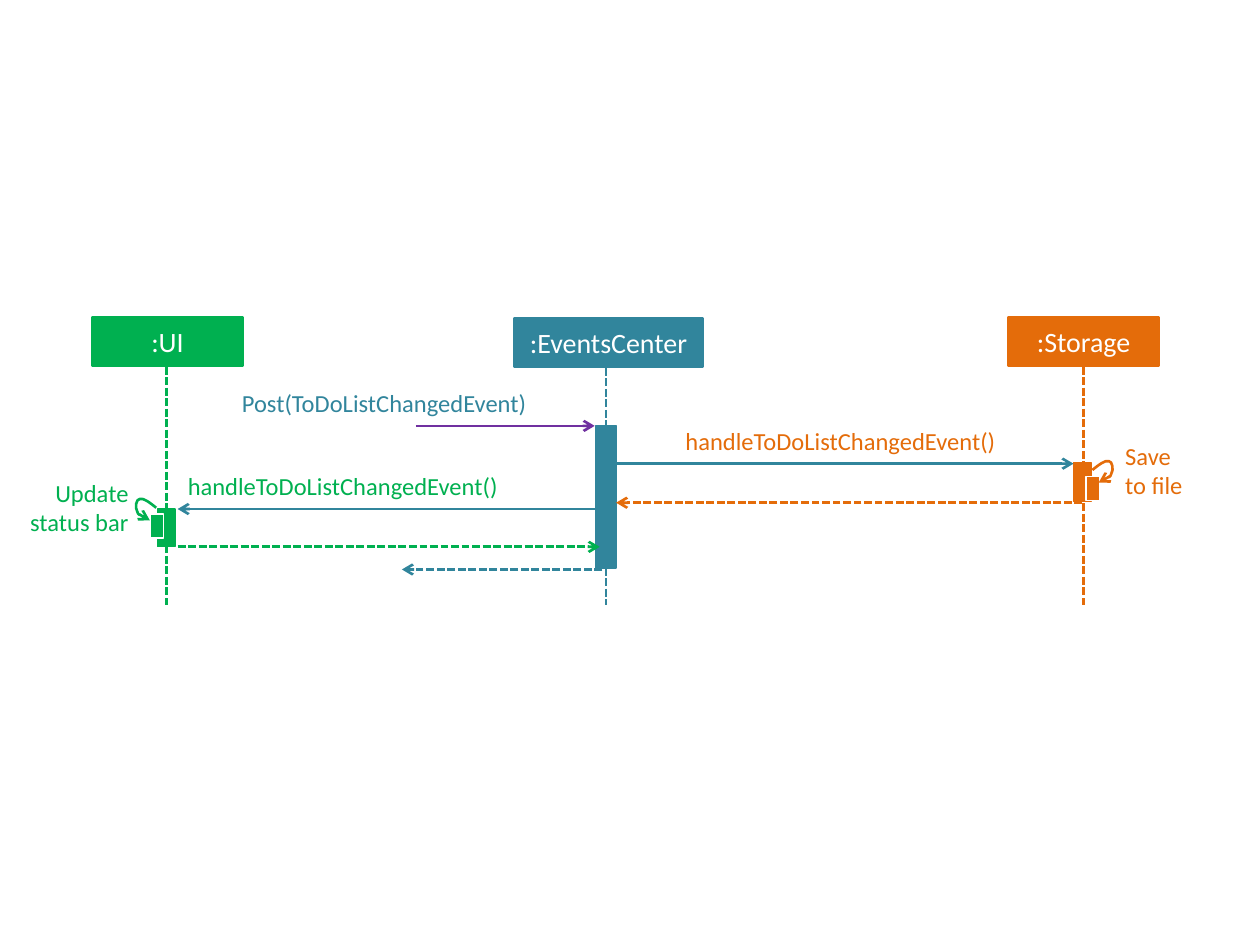
from lxml.etree import SubElement
from pptx import Presentation
from pptx.dml.color import RGBColor
from pptx.enum.dml import MSO_LINE
from pptx.enum.shapes import MSO_CONNECTOR, MSO_SHAPE
from pptx.enum.text import MSO_ANCHOR, MSO_AUTO_SIZE, PP_ALIGN
from pptx.oxml.ns import qn
from pptx.util import Pt

PX = 9144  # 100 px to the inch
GREEN, TEAL, ORANGE = "00B050", "31859C", "E46C0A"
PURPLE, WHITE = "7030A0", "FFFFFF"


def rgb(color):
    return RGBColor.from_string(color)


def style_line(line, color, width=1.5, dashed=False, arrow_end=None):
    """arrow_end is "headEnd" for the start of the line, "tailEnd" for its end."""
    line.color.rgb = rgb(color)
    line.width = Pt(width)
    if dashed:
        line.dash_style = MSO_LINE.SQUARE_DOT
    if arrow_end:
        SubElement(line._get_or_add_ln(), qn("a:" + arrow_end), type="arrow")


prs = Presentation()
prs.slide_width, prs.slide_height = 1000 * PX, 750 * PX
shapes = prs.slides.add_slide(prs.slide_layouts[6]).shapes

# Name, colour, header (left, top, width), lifeline x, activation (left, top, width, height)
participants = [
    (":Storage", ORANGE, (800, 252, 120), 860, (852, 367, 14, 31)),
    (":EventsCenter", TEAL, (408, 253, 150), 481, (473, 338, 16, 113)),
    (":UI", GREEN, (73, 252, 120), 132, (125, 404, 14, 30)),
]
HEADER_HEIGHT, LIFELINE_END = 38, 480

# Colour, start, end, dashed
messages = [(color, (x, top + HEADER_HEIGHT + 1), (x, LIFELINE_END), True, None)
            for _, color, (_, top, _), x, _ in participants]
messages += [
    (PURPLE, (330, 338), (472, 338), False, "tailEnd"),
    (TEAL, (489, 368), (852, 368), False, "tailEnd"),
    (ORANGE, (859, 399), (489, 399), True, "tailEnd"),
    (TEAL, (476, 404), (141, 404), False, "tailEnd"),
    (GREEN, (141, 434), (476, 434), True, "tailEnd"),
    (TEAL, (478, 452), (319, 452), True, "tailEnd"),
]

# Activations of self calls sit on top of the participants' own
self_calls = [(GREEN, (119, 408, 11, 19)), (ORANGE, (862, 378, 11, 19))]
boxes = []
for name, color, (left, top, width), _, activation in participants:
    boxes.append((name, color, color, 1.5, (left, top, width, HEADER_HEIGHT)))
    boxes.append(("", color, color, 0.75, activation))
boxes += [("", color, WHITE, 0.75, area) for color, area in self_calls]

lines_drawn = False
for name, color, outline, outline_width, area in boxes:
    if outline == WHITE and not lines_drawn:
        lines_drawn = True
    box = shapes.add_shape(MSO_SHAPE.RECTANGLE, *(v * PX for v in area))
    box.shadow.inherit = False
    box.fill.solid()
    box.fill.fore_color.rgb = rgb(color)
    style_line(box.line, outline, outline_width)
    if name:
        box.text_frame.text = name
        box.text_frame.vertical_anchor = MSO_ANCHOR.MIDDLE
        label = box.text_frame.paragraphs[0]
        label.alignment = PP_ALIGN.CENTER
        label.font.size, label.font.name = Pt(16), "Calibri"
        label.font.color.rgb = rgb(WHITE)

for color, start, end, dashed, arrow_end in messages:
    message = shapes.add_connector(MSO_CONNECTOR.STRAIGHT, *(v * PX for v in start + end))
    style_line(message.line, color, dashed=dashed, arrow_end=arrow_end)
    SubElement(message._element.spPr, qn("a:effectLst"))
    if arrow_end is None:  # lifelines run behind the boxes
        shapes._spTree.remove(message._element)
        shapes._spTree.insert(2, message._element)

# The storage loop mirrors the UI loop and sits 30 px higher
ui_loop = [(119, 413), (115, 411), (110, 409), (109, 406),
           (107, 403), (108, 396), (111, 396),
           (114, 395), (119, 399), (124, 403)]
storage_loop = [(991 - x, y - 30) for x, y in ui_loop]
for color, points in [(GREEN, ui_loop), (ORANGE, storage_loop)]:
    builder = shapes.build_freeform(*points[0], scale=PX)
    builder.add_line_segments(points[1:], close=False)
    loop = builder.convert_to_shape()
    loop.shadow.inherit = False
    loop.fill.background()
    style_line(loop.line, color, arrow_end="headEnd")
    # Every three line segments become one Bézier curve
    segments = list(loop._element.iter(qn("a:lnTo")))
    outline = segments[0].getparent()
    for i in range(0, len(segments), 3):
        curve = SubElement(outline, qn("a:cubicBezTo"))
        for segment in segments[i:i + 3]:
            curve.append(segment[0])
            outline.remove(segment)

captions = [
    ("Post(ToDoListChangedEvent)", TEAL, PP_ALIGN.LEFT, (192, 308, 297, 24)),
    ("handleToDoListChangedEvent()", ORANGE, PP_ALIGN.LEFT, (544, 338, 291, 24)),
    ("handleToDoListChangedEvent()", GREEN, PP_ALIGN.LEFT, (149, 374, 291, 24)),
    ("Update status bar", GREEN, PP_ALIGN.RIGHT, (15, 379, 87, 47)),
    ("Save\vto file", ORANGE, PP_ALIGN.LEFT, (893, 350, 59, 47)),
]
for text, color, alignment, area in captions:
    frame = shapes.add_textbox(*(v * PX for v in area)).text_frame
    frame.margin_left = frame.margin_right = frame.margin_top = frame.margin_bottom = 0
    frame.word_wrap = True
    frame.auto_size = MSO_AUTO_SIZE.SHAPE_TO_FIT_TEXT
    frame.text = text
    caption = frame.paragraphs[0]
    caption.alignment = alignment
    for run in caption.runs:
        run.font.size, run.font.name = Pt(14), "Calibri"
        run.font.color.rgb = rgb(color)

prs.save("out.pptx")
